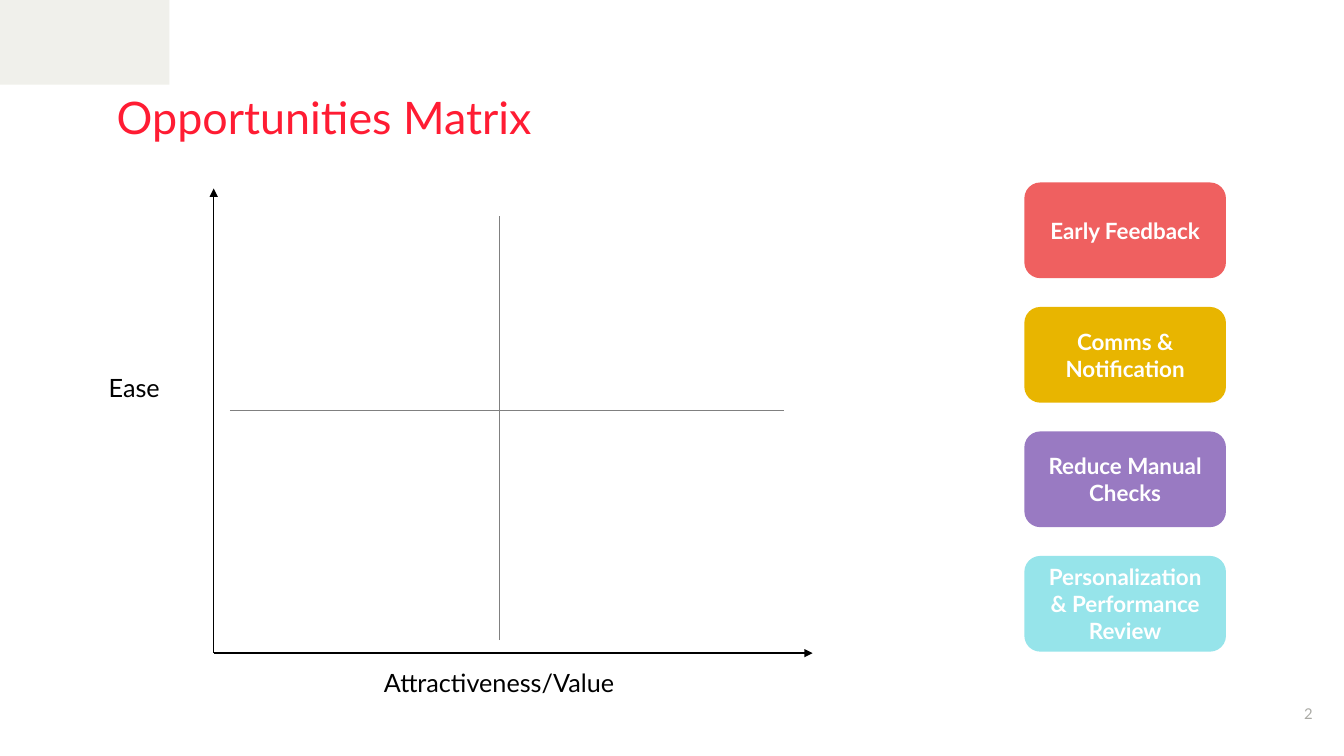
"""Build the Opportunities Matrix slide."""
from dataclasses import dataclass

from lxml import etree
from pptx import Presentation
from pptx.dml.color import RGBColor
from pptx.enum.shapes import MSO_CONNECTOR, MSO_SHAPE
from pptx.enum.text import MSO_ANCHOR, PP_ALIGN
from pptx.oxml.ns import qn
from pptx.util import Inches, Pt

RECTANGLE = MSO_SHAPE.RECTANGLE
ROUNDED = MSO_SHAPE.ROUNDED_RECTANGLE
STRAIGHT = MSO_CONNECTOR.STRAIGHT
MIDDLE = MSO_ANCHOR.MIDDLE
LEFT, CENTER, RIGHT = PP_ALIGN.LEFT, PP_ALIGN.CENTER, PP_ALIGN.RIGHT

FONT = "Lato"
BLACK = RGBColor(0x00, 0x00, 0x00)
WHITE = RGBColor(0xFF, 0xFF, 0xFF)
GRID_GRAY = RGBColor(0x80, 0x80, 0x80)
NUMBER_GRAY = RGBColor(0xAA, 0xAA, 0xA5)
CORNER_GRAY = RGBColor(0xF0, 0xF0, 0xEB)
TITLE_RED = RGBColor(0xFF, 0x1C, 0x33)
CORAL = RGBColor(0xEF, 0x60, 0x60)
GOLD = RGBColor(0xE8, 0xB5, 0x00)
PURPLE = RGBColor(0x99, 0x7A, 0xC2)
AQUA = RGBColor(0x96, 0xE4, 0xEA)

CARD_LEFT, CARD_TOP, CARD_WIDTH, CARD_HEIGHT = 10.16, 1.81, 2, 0.95
CARD_PITCH = 1.235


@dataclass
class Label:
    text: str
    left: float
    top: float
    width: float
    height: float
    size: float = 18
    color: RGBColor = BLACK
    align: PP_ALIGN = LEFT
    spacing: float | None = None
    inset: bool = True


@dataclass
class Line:
    start: tuple[float, float]
    end: tuple[float, float]
    color: RGBColor = BLACK
    width: float = 1
    arrow: bool = True


@dataclass
class Card:
    text: str
    color: RGBColor


LABELS = [
    Label("2", 12.56, 6.99, 0.46, 0.18, 10.6, NUMBER_GRAY, RIGHT, inset=False),
    Label("Opportunities Matrix", 1.06, 0.99, 10.93, 0.55, 32, TITLE_RED, spacing=0.7),
    Label("Attractiveness/Value", 3.71, 6.57, 2.55, 0.4),
    Label("Ease", 0.98, 3.64, 1.23, 0.4),
]
LINES = [
    Line((2.12, 6.48), (8.06, 6.48)),
    Line((2.12, 6.48), (2.12, 1.87)),
    Line((2.28, 4.07), (7.78, 4.07), GRID_GRAY, 0.5, False),
    Line((4.95, 6.35), (4.95, 2.14), GRID_GRAY, 0.5, False),
]
CARDS = [
    Card("Early Feedback", CORAL),
    Card("Comms & Notification", GOLD),
    Card("Reduce Manual Checks", PURPLE),
    Card("Personalization & Performance Review", AQUA),
]


def set_text(frame, text: str, size: float, color: RGBColor, align: PP_ALIGN):
    """Write one styled paragraph and return it."""
    frame.word_wrap = True
    para = frame.paragraphs[0]
    para.text = text
    para.alignment = align
    para.font.name = FONT
    para.font.size = Pt(size)
    para.font.color.rgb = color
    return para


def add_block(page, kind: MSO_SHAPE, left: float, top: float, width: float,
              height: float, color: RGBColor):
    """Add a flat filled shape without an outline."""
    block = page.shapes.add_shape(
        kind, Inches(left), Inches(top), Inches(width), Inches(height))
    block.shadow.inherit = False
    block.fill.solid()
    block.fill.fore_color.rgb = color
    block.line.fill.background()
    return block


def add_label(page, label: Label) -> None:
    """Add a text box."""
    box = page.shapes.add_textbox(
        Inches(label.left), Inches(label.top), Inches(label.width), Inches(label.height))
    frame = box.text_frame
    para = set_text(frame, label.text, label.size, label.color, label.align)
    if label.spacing:
        para.line_spacing = label.spacing
    if not label.inset:
        frame.margin_left = frame.margin_right = 0
        frame.margin_top = frame.margin_bottom = 0


def add_line(page, line: Line) -> None:
    """Add an axis or a grid line."""
    connector = page.shapes.add_connector(
        STRAIGHT, *(Inches(value) for value in line.start + line.end))
    connector.line.color.rgb = line.color
    connector.line.width = Pt(line.width)
    properties = connector._element.spPr
    if line.arrow:
        etree.SubElement(properties.find(qn("a:ln")), qn("a:tailEnd"), type="triangle")
    etree.SubElement(properties, qn("a:effectLst"))


def add_card(page, card: Card, row: int) -> None:
    """Add an opportunity card in its row."""
    block = add_block(page, ROUNDED, CARD_LEFT, CARD_TOP + row * CARD_PITCH,
                      CARD_WIDTH, CARD_HEIGHT, card.color)
    block.text_frame.vertical_anchor = MIDDLE
    set_text(block.text_frame, card.text, 16, WHITE, CENTER).font.bold = True


def main() -> None:
    """Build and save the deck."""
    deck = Presentation()
    deck.slide_width, deck.slide_height = Inches(13.33), Inches(7.5)
    page = deck.slides.add_slide(deck.slide_layouts[6])
    add_block(page, RECTANGLE, 0, 0, 1.68, 0.84, CORNER_GRAY)
    for line in LINES:
        add_line(page, line)
    for label in LABELS:
        add_label(page, label)
    for row, card in enumerate(CARDS):
        add_card(page, card, row)
    deck.save("out.pptx")


if __name__ == "__main__":
    main()
